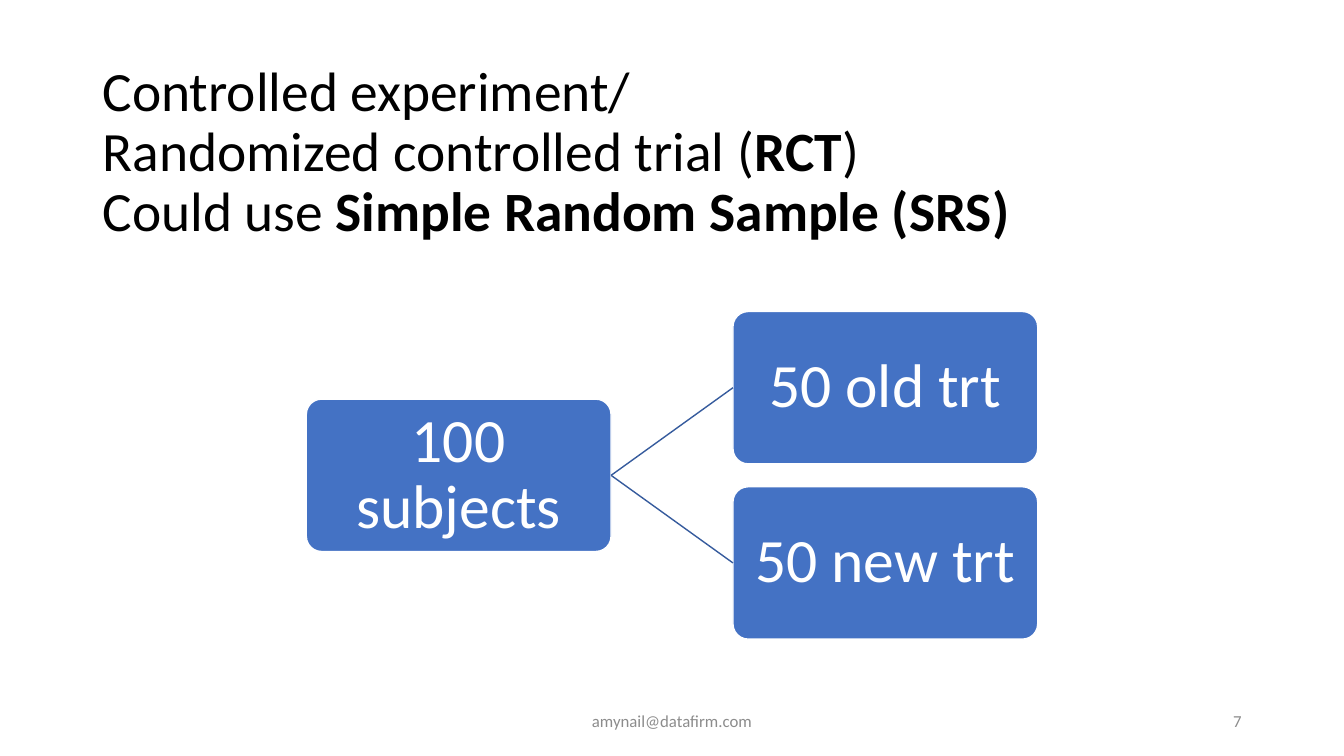
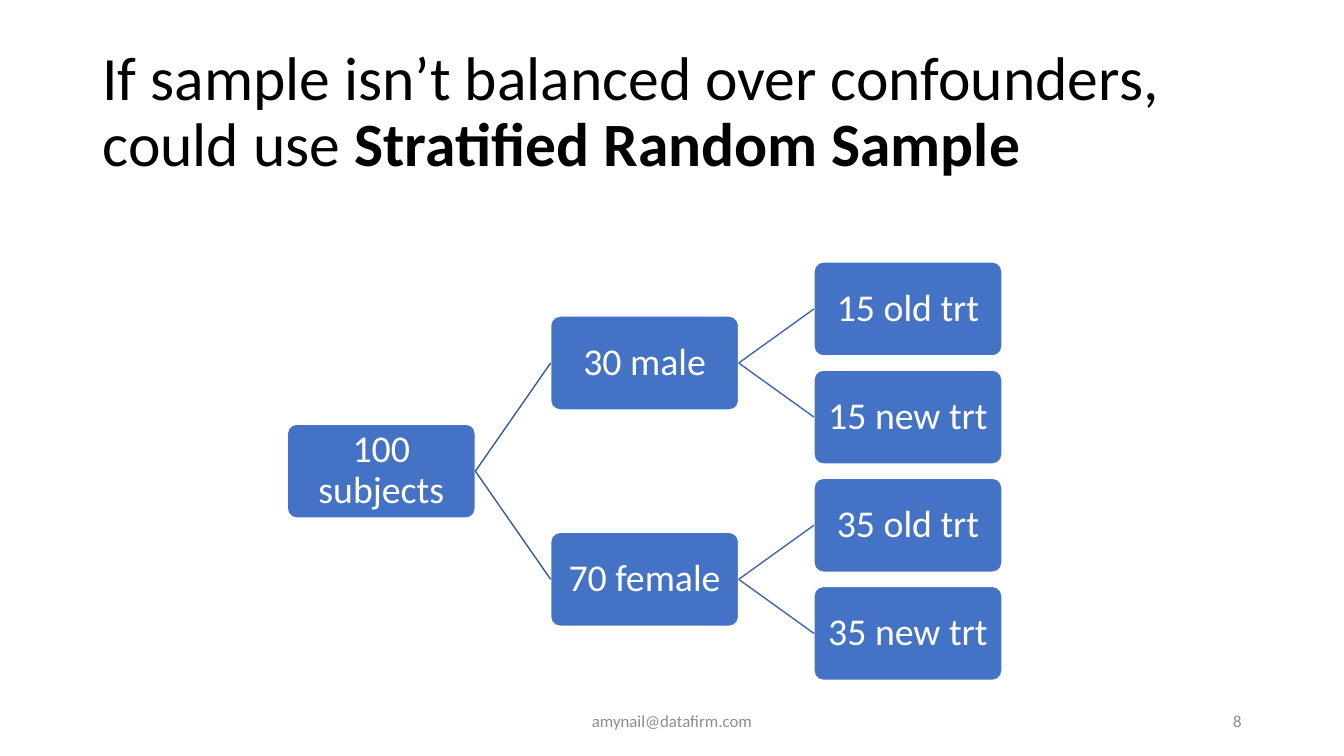
from lxml import etree
from pptx import Presentation
from pptx.dml.color import RGBColor
from pptx.enum import shapes, text
from pptx.oxml import ns
from pptx.util import Cm, Pt

BLACK = RGBColor(0x00, 0x00, 0x00)
WHITE = RGBColor(0xFF, 0xFF, 0xFF)
GREY = RGBColor(0x8C, 0x8C, 0x8C)
BOX_BLUE = RGBColor(0x44, 0x72, 0xC4)
BRANCH_COLORS = [RGBColor(0x36, 0x5B, 0x9D), RGBColor(0x3E, 0x67, 0xB2)]
FONT = "Calibri"
FOOTER = "amynail@datafirm.com"

SLIDES = [
    {
        "title": ["Controlled experiment/",
                  "Randomized controlled trial (*RCT*)",
                  "Could use *Simple Random Sample (SRS)*"],
        "title_size": 39.6, "title_top": 2.03, "number": "7",
        "levels": [["100 subjects"], ["50 old trt", "50 new trt"]],
        "left": 7.72, "top": 7.85, "box_width": 7.68, "box_size": 44,
    },
    {
        "title": ["If sample isn’t balanced over confounders,",
                  "could use *Stratified Random Sample*"],
        "title_size": 44, "title_top": 1.02, "number": "8",
        "levels": [["100 subjects"], ["30 male", "70 female"],
                   ["15 old trt", "15 new trt", "35 old trt", "35 new trt"]],
        "left": 7.24, "top": 6.6, "box_width": 4.74, "box_size": 27,
    },
]


def write(frame, lines, size, color, align=text.PP_ALIGN.LEFT, spacing=1.0, inset=None):
    """Fill one paragraph with lines; words between asterisks become bold."""
    frame.word_wrap = True
    frame.auto_size = text.MSO_AUTO_SIZE.NONE
    frame.vertical_anchor = text.MSO_ANCHOR.MIDDLE
    if inset is not None:
        frame.margin_left = frame.margin_right = inset
        frame.margin_top = frame.margin_bottom = inset
    paragraph = frame.paragraphs[0]
    paragraph.alignment = align
    paragraph.line_spacing = spacing
    for line_index, line in enumerate(lines):
        if line_index:
            paragraph.add_line_break()
        for part_index, part in enumerate(line.split("*")):
            if part:
                run = paragraph.add_run()
                run.text = part
                run.font.name = FONT
                run.font.size = Pt(size)
                run.font.bold = part_index % 2 == 1
                run.font.color.rgb = color


presentation = Presentation()
presentation.slide_width = Cm(33.87)
presentation.slide_height = Cm(19.05)
title_only = presentation.slide_layouts[5]

for content in SLIDES:
    slide = presentation.slides.add_slide(title_only)
    title = slide.shapes.title
    title.left, title.top = Cm(2.33), Cm(content["title_top"])
    title.width, title.height = Cm(29.21), Cm(3.68)
    write(title.text_frame, content["title"], content["title_size"], BLACK, spacing=0.9)

    # Tree: boxes are twice as wide as high, and parents are centred on their leaves
    width = content["box_width"]
    height = width / 2
    column_step = width * 1.4
    row_step = height * 1.15
    levels = content["levels"]
    parents = []
    for depth, labels in enumerate(levels):
        leaves_per_box = len(levels[-1]) / len(labels)
        boxes = []
        for index, label in enumerate(labels):
            row = (index + 0.5) * leaves_per_box - 0.5
            box = slide.shapes.add_shape(
                shapes.MSO_SHAPE.ROUNDED_RECTANGLE,
                Cm(content["left"] + depth * column_step),
                Cm(content["top"] + row * row_step), Cm(width), Cm(height))
            box.adjustments[0] = 0.1
            box.shadow.inherit = False
            box.fill.solid()
            box.fill.fore_color.rgb = BOX_BLUE
            box.line.color.rgb = WHITE
            box.line.width = Pt(1)
            write(box.text_frame, [label], content["box_size"], WHITE,
                  align=text.PP_ALIGN.CENTER, spacing=0.9, inset=Cm(0.15))
            boxes.append(box)
            if parents:
                branch = slide.shapes.add_connector(shapes.MSO_CONNECTOR.STRAIGHT, 0, 0, 0, 0)
                branch.begin_connect(parents[index // 2], 3)
                branch.end_connect(box, 1)
                branch.line.color.rgb = BRANCH_COLORS[depth - 1]
                branch.line.width = Pt(1)
                etree.SubElement(branch.element.spPr, ns.qn("a:effectLst"))
        parents = boxes

    for label, left, box_width, align in [
        (FOOTER, 11.22, 11.43, text.PP_ALIGN.CENTER),
        (content["number"], 23.92, 7.62, text.PP_ALIGN.RIGHT),
    ]:
        footer = slide.shapes.add_textbox(Cm(left), Cm(17.66), Cm(box_width), Cm(1.01))
        write(footer.text_frame, [label], 12, GREY, align=align)

presentation.save("out.pptx")
